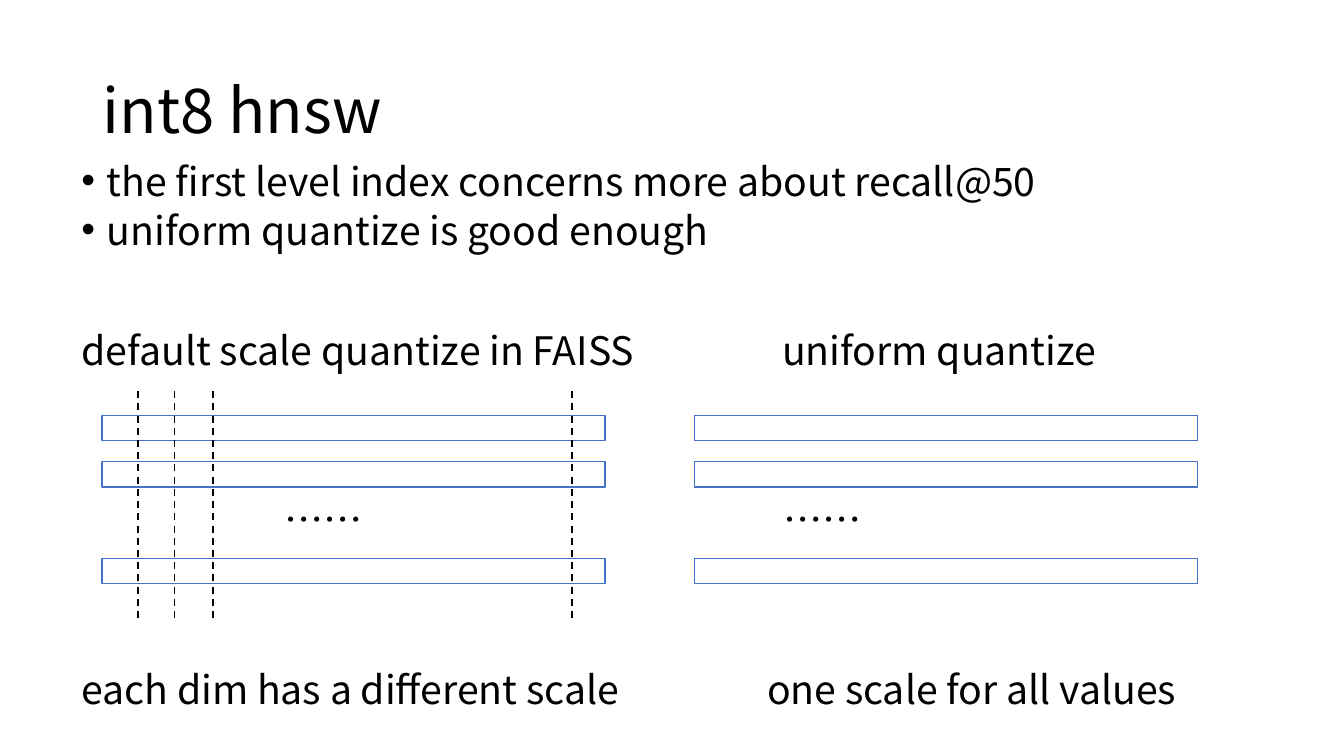
from lxml.etree import SubElement
from pptx import Presentation
from pptx.dml.color import RGBColor
from pptx.enum.dml import MSO_LINE
from pptx.enum.shapes import MSO_CONNECTOR, MSO_SHAPE
from pptx.enum.text import MSO_ANCHOR
from pptx.oxml.ns import qn
from pptx.util import Inches, Pt

FONT = "Noto Sans CJK SC"
BLACK, WHITE, BLUE = "000000", "FFFFFF", "4472C4"

TITLE = "int8 hnsw"
BULLETS = [
    "the first level index concerns more about recall@50",
    "uniform quantize is good enough",
]
# Each label: text, left edge of its box, text row it stands on
LABELS = [
    ("default scale quantize in FAISS", 0.71, 3),
    ("uniform quantize", 7.66, 3),
    ("……", 2.72, 6),
    ("……", 7.67, 6),
    ("each dim has a different scale", 0.71, 9),
    ("one scale for all values", 7.51, 9),
]
BODY_TOP, ROW_PITCH = 1.6, 0.56

VECTOR_LEFTS = [1.01, 6.89]
VECTOR_TOPS = [4.12, 4.58, 5.54]
VECTOR_SIZE = (4.99, 0.25)
DIMENSION_XS = [1.37, 1.73, 2.11, 5.67]
DIMENSION_TOP, DIMENSION_BOTTOM = 3.88, 6.16


def color(value):
    return RGBColor.from_string(value)


def add_bullet(paragraph):
    properties = paragraph._p.get_or_add_pPr()
    properties.set("marL", str(Inches(0.25)))
    properties.set("indent", str(-Inches(0.25)))
    SubElement(properties, qn("a:buFont")).set("typeface", "Arial")
    SubElement(properties, qn("a:buChar")).set("char", "•")


def add_text(slide, lines, left, top, width, height, size=28,
             spacing=0.8, anchor=MSO_ANCHOR.TOP, bulleted=False):
    frame = slide.shapes.add_textbox(
        Inches(left), Inches(top), Inches(width), Inches(height)).text_frame
    frame.word_wrap = True
    frame.vertical_anchor = anchor
    for index, line in enumerate(lines):
        paragraph = frame.paragraphs[0] if index == 0 else frame.add_paragraph()
        paragraph.text = line
        if bulleted:
            add_bullet(paragraph)
        paragraph.line_spacing = spacing
        if index:
            paragraph.space_before = Pt(8)
        paragraph.font.name = FONT
        paragraph.font.size = Pt(size)
        paragraph.font.color.rgb = color(BLACK)


def add_vector(slide, left, top):
    """Draw one stored vector as an outlined bar."""
    width, height = VECTOR_SIZE
    shape = slide.shapes.add_shape(
        MSO_SHAPE.RECTANGLE, Inches(left), Inches(top), Inches(width), Inches(height))
    shape.shadow.inherit = False
    shape.fill.solid()
    shape.fill.fore_color.rgb = color(WHITE)
    shape.line.color.rgb = color(BLUE)
    shape.line.width = Pt(1)


def add_dimension(slide, x):
    """Draw the dashed line that cuts one dimension across the vectors."""
    connector = slide.shapes.add_connector(
        MSO_CONNECTOR.STRAIGHT, Inches(x), Inches(DIMENSION_TOP),
        Inches(x), Inches(DIMENSION_BOTTOM))
    connector.line.color.rgb = color(BLACK)
    connector.line.width = Pt(1.25)
    connector.line.dash_style = MSO_LINE.DASH
    SubElement(connector._element.spPr, qn("a:effectLst"))


def main():
    presentation = Presentation()
    presentation.slide_width = Inches(13.33)
    presentation.slide_height = Inches(7.5)
    slide = presentation.slides.add_slide(presentation.slide_layouts[6])

    add_text(slide, [TITLE], 0.92, 0.4, 11.5, 1.45, size=44, spacing=0.9,
             anchor=MSO_ANCHOR.MIDDLE)
    add_text(slide, BULLETS, 0.71, BODY_TOP, 11.71, 1.2, bulleted=True)
    for text, left, row in LABELS:
        add_text(slide, [text], left, BODY_TOP + row * ROW_PITCH, 5.8, 0.56)

    for left in VECTOR_LEFTS:
        for top in VECTOR_TOPS:
            add_vector(slide, left, top)
    for x in DIMENSION_XS:
        add_dimension(slide, x)

    presentation.save("out.pptx")


if __name__ == "__main__":
    main()
